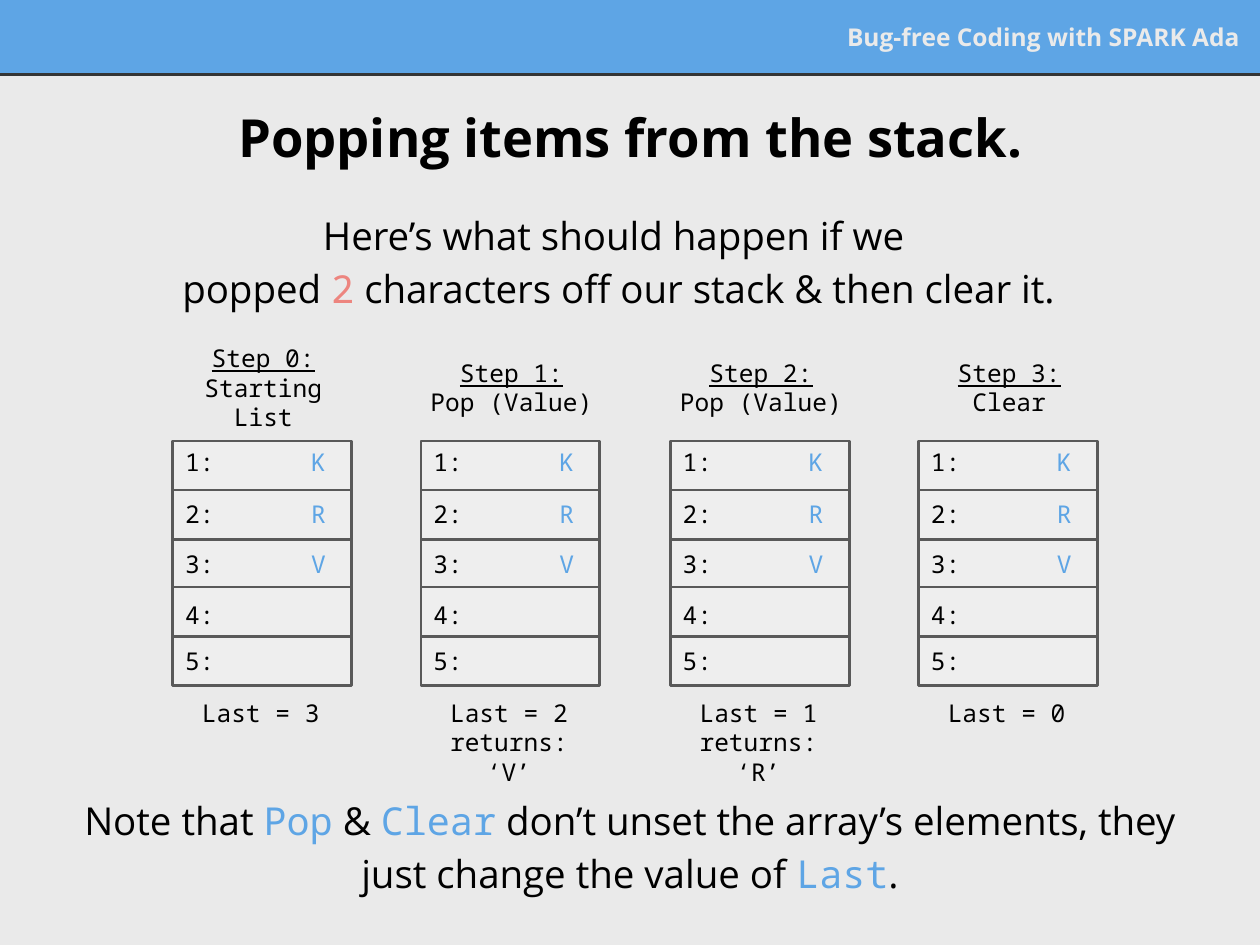
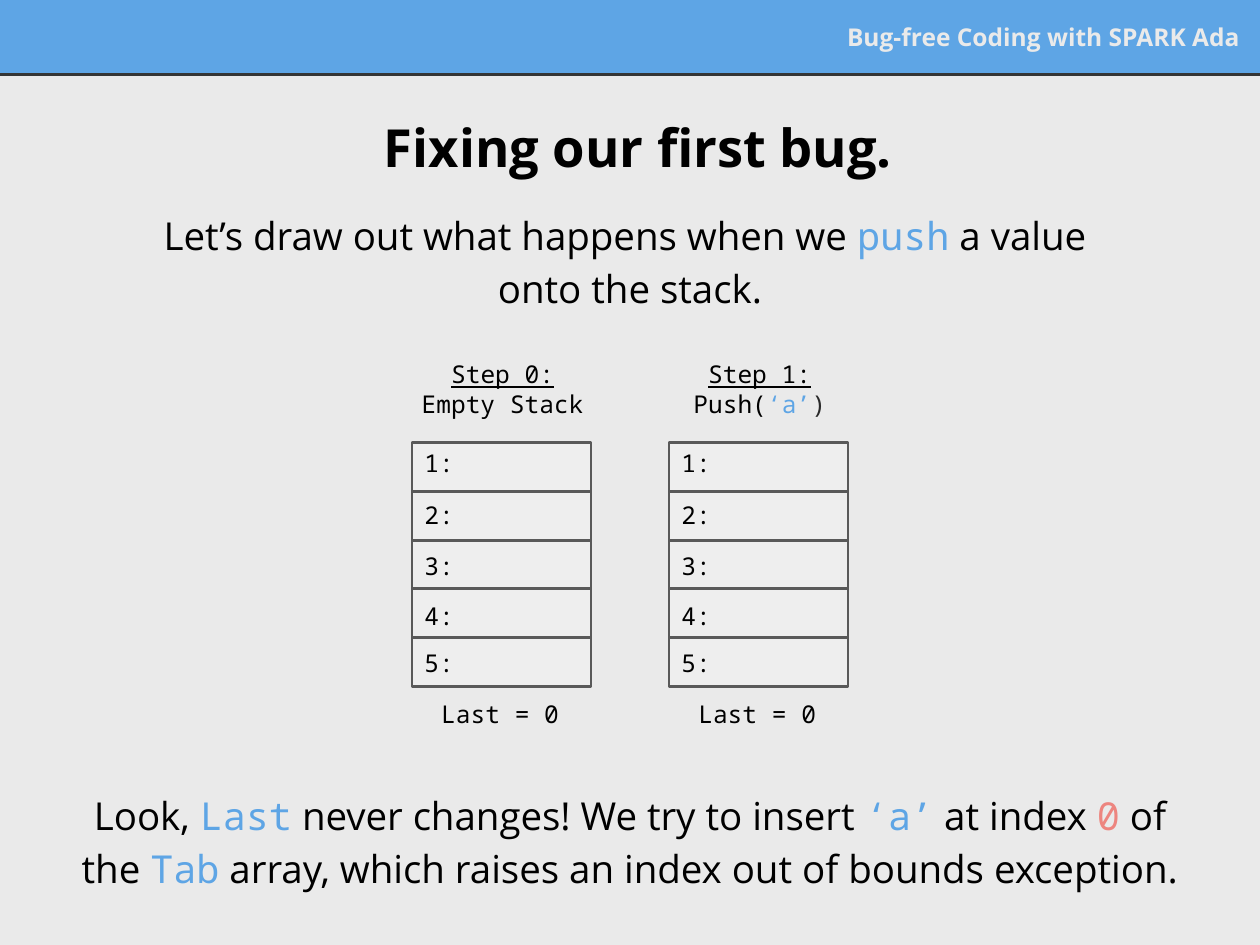
from dataclasses import dataclass, replace

from lxml import etree
from pptx import Presentation
from pptx.dml.color import RGBColor
from pptx.enum import shapes, text
from pptx.oxml.ns import qn
from pptx import util as u

PX = 9144  # 100 px to the inch
PAGE_W, PAGE_H = 1000, 750
INSET = 10
BAND_H = 59

PAPER = RGBColor(0xEA, 0xEA, 0xEA)
BLUE = RGBColor(0x5E, 0xA5, 0xE5)
RED = RGBColor(0xED, 0x85, 0x7F)
BLACK = RGBColor(0, 0, 0)
CHARCOAL = RGBColor(0x29, 0x29, 0x29)
BAND_EDGE = RGBColor(0x35, 0x35, 0x35)
CELL_FILL = RGBColor(0xEE, 0xEE, 0xEE)
CELL_EDGE = RGBColor(0x59, 0x59, 0x59)

SANS, MONO = "Open Sans", "Noto Sans Mono"
LEFT, CENTER, RIGHT = (text.PP_ALIGN.LEFT, text.PP_ALIGN.CENTER,
                       text.PP_ALIGN.RIGHT)
TOP, MIDDLE = text.MSO_ANCHOR.TOP, text.MSO_ANCHOR.MIDDLE


@dataclass(frozen=True)
class Style:
    font: str
    size: int
    color: RGBColor = BLACK
    bold: bool = False
    underline: bool = False


TITLE = Style(SANS, 30, bold=True)
COURSE = Style(SANS, 14, PAPER, bold=True)
BODY = Style(SANS, 22)
CODE = Style(MONO, 22, BLUE)
ALERT = replace(CODE, color=RED)
LABEL = Style(MONO, 14)
STEP = replace(LABEL, underline=True)
VALUE = replace(LABEL, color=BLUE)
BRACKET = replace(LABEL, color=CHARCOAL)

STACK_W, STACK_H = 142, 194
INDEX_TOPS = (-5, 36, 76, 116, 153)
INDEX_H = 37
TAB_STOP = 100


def emu(*lengths):
    return [u.Emu(length * PX) for length in lengths]


def write(parent, box, lines, align=CENTER, anchor=TOP, spacing=None, tab=None):
    """Add a text box; each line is a list of (words, style) runs."""
    frame = parent.add_textbox(*emu(*box)).text_frame
    frame.word_wrap = True
    frame.vertical_anchor = anchor
    frame.margin_left = frame.margin_right = u.Emu(INSET * PX)
    frame.margin_top = frame.margin_bottom = u.Emu(INSET * PX)
    for number, runs in enumerate(lines):
        paragraph = frame.add_paragraph() if number else frame.paragraphs[0]
        paragraph.alignment = align
        if spacing:
            paragraph.line_spacing = spacing
        if tab:
            stops = etree.SubElement(paragraph._p.get_or_add_pPr(), qn("a:tabLst"))
            etree.SubElement(stops, qn("a:tab"), pos=str(tab * PX), algn="l")
        for words, style in runs:
            run = paragraph.add_run()
            run.text = words
            run.font.name = style.font
            run.font.size = u.Pt(style.size)
            run.font.color.rgb = style.color
            run.font.bold = style.bold
            run.font.underline = style.underline


def add_box(parent, box, fill, edge, weight):
    shape = parent.add_shape(shapes.MSO_SHAPE.RECTANGLE, *emu(*box))
    shape.shadow.inherit = False
    shape.fill.solid()
    shape.fill.fore_color.rgb = fill
    shape.line.color.rgb = edge
    shape.line.width = u.Pt(weight)


def add_band(slide):
    add_box(slide.shapes, (0, 0, PAGE_W, BAND_H), BLUE, BLUE, 0.75)
    edge = slide.shapes.add_connector(
        shapes.MSO_CONNECTOR.STRAIGHT, *emu(0, BAND_H, PAGE_W, BAND_H))
    edge.line.color.rgb = BAND_EDGE
    edge.line.width = u.Pt(1.5)
    etree.SubElement(edge._element.spPr, qn("a:effectLst"))
    write(slide.shapes, (584, 10, 410, 38),
          [[("Bug-free Coding with SPARK Ada", COURSE)]], RIGHT, MIDDLE)


def add_stack(slide, left, top, step, action, values, results):
    """Draw one five-cell stack with its step above and its results below."""
    group = slide.shapes.add_group_shape().shapes
    cells = len(INDEX_TOPS)
    for cell in range(cells):
        cell_top = top + round(cell * STACK_H / cells)
        add_box(group, (left, cell_top, STACK_W, 39), CELL_FILL, CELL_EDGE, 1.5)
    for cell, index_top in enumerate(INDEX_TOPS):
        runs = [(f"{cell + 1}:", LABEL)]
        if cell < len(values):
            runs += [("\t", LABEL), (values[cell], VALUE)]
        write(group, (left, top + index_top, STACK_W, INDEX_H), [runs],
              LEFT, tab=TAB_STOP)
    write(group, (left - 9, top + STACK_H, 158, 57),
          [[(result, LABEL)] for result in results])
    write(group, (left - 5, top - 80, 154, 75),
          [[(f"Step {step}:", STEP)], action], anchor=MIDDLE)


def add_stack_slide(deck, title, title_at, intro, intro_left, note, note_top,
                    stack_top, stacks):
    """Add a slide; stacks holds (left, action, values, results) per step."""
    slide = deck.slides.add_slide(deck.slide_layouts[6])
    slide.background.fill.solid()
    slide.background.fill.fore_color.rgb = PAPER
    add_band(slide)
    write(slide.shapes, (*title_at, 965, 90), [[(title, TITLE)]], anchor=MIDDLE)
    write(slide.shapes, (intro_left, 153, 918, 90), intro, spacing=1.15)
    for step, (left, *content) in enumerate(stacks):
        add_stack(slide, left, stack_top, step, *content)
    write(slide.shapes, (41, note_top, 918, 90), [note], spacing=1.15)


def add_popping_slide(deck):
    steps = [
        ("Starting List", ["Last = 3"]),
        ("Pop (Value)", ["Last = 2", "returns: ‘V’"]),
        ("Pop (Value)", ["Last = 1", "returns: ‘R’"]),
        ("Clear", ["Last = 0"]),
    ]
    add_stack_slide(
        deck, "Popping items from the stack.", (18, 63),
        intro=[
            [("Here’s what should happen if we ", BODY)],
            [("popped ", BODY), ("2", ALERT),
             (" characters off our stack & then clear it.", BODY)],
        ],
        intro_left=32,
        note=[
            ("Note that ", BODY), ("Pop", CODE), (" & ", BODY), ("Clear", CODE),
            (" don’t unset the array’s elements, they just change the value of ",
             BODY),
            ("Last", CODE), (".", BODY),
        ],
        note_top=617,
        stack_top=350,
        stacks=[(137 + round(step * 592 / 3), [(action, LABEL)], "KRV", results)
                for step, (action, results) in enumerate(steps)])


def add_first_bug_slide(deck):
    actions = [
        [("Empty Stack", LABEL)],
        [("Push(", LABEL), ("‘a’", VALUE), (")", BRACKET)],
    ]
    add_stack_slide(
        deck, "Fixing our first bug.", (24, 71),
        intro=[
            [("Let’s draw out what happens when we ", BODY), ("push", CODE),
             (" a value ", BODY)],
            [("onto the stack.", BODY)],
        ],
        intro_left=41,
        note=[
            ("Look, ", BODY), ("Last", CODE),
            (" never changes! We try to insert ", BODY), ("‘a’", CODE),
            (" at index ", BODY), ("0", ALERT), (" of the ", BODY), ("Tab", CODE),
            (" array, which raises an index out of bounds exception.", BODY),
        ],
        note_top=613,
        stack_top=351,
        stacks=[(327 + step * 204, action, "", ["Last = 0"])
                for step, action in enumerate(actions)])


def main():
    deck = Presentation()
    deck.slide_width, deck.slide_height = emu(PAGE_W, PAGE_H)
    add_popping_slide(deck)
    add_first_bug_slide(deck)
    deck.save("out.pptx")


if __name__ == "__main__":
    main()
